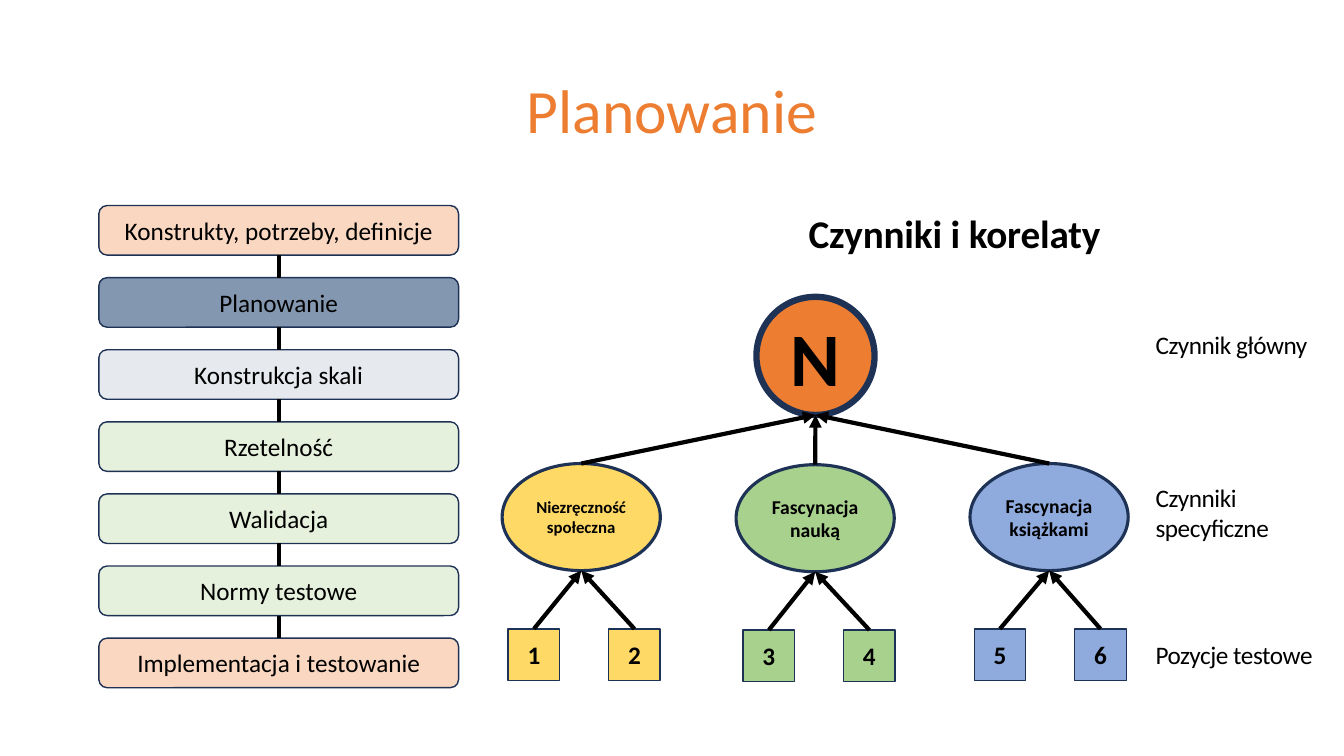
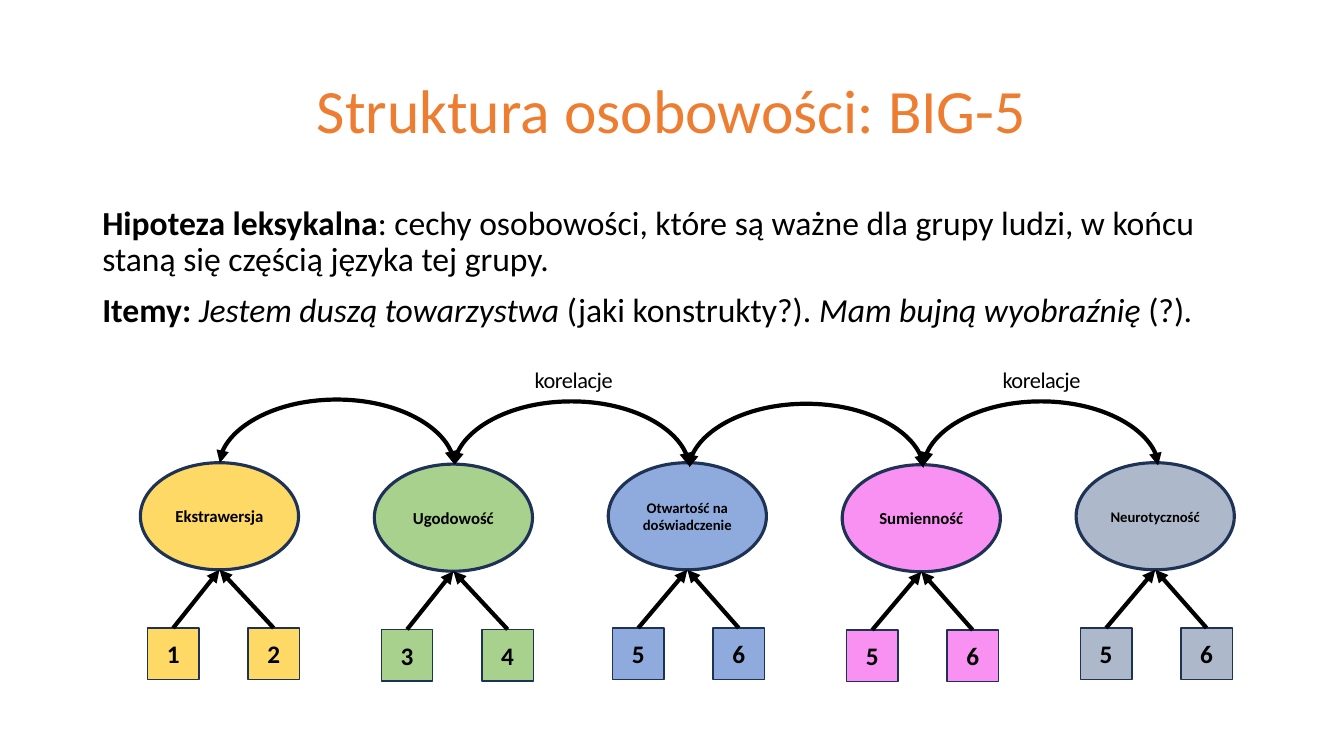
"""Build two slides on test planning and the structure of personality."""
from dataclasses import dataclass

from lxml.etree import SubElement
from pptx import Presentation
from pptx.dml.color import RGBColor as Rgb
from pptx.enum.shapes import MSO_CONNECTOR as Link, MSO_SHAPE as Form
from pptx.enum.text import MSO_ANCHOR as Anchor, MSO_AUTO_SIZE as Fit, PP_ALIGN as Align
from pptx.oxml.ns import qn
from pptx.util import Pt


@dataclass(frozen=True)
class Theme:
    """Colours and type sizes that the slides share."""
    font: str = "Calibri"
    ink: str = "000000"
    edge: str = "1E3256"
    orange: str = "ED7D31"
    steel: str = "8497B0"
    gray: str = "ADB9CA"
    green: str = "A9D18E"
    yellow: str = "FFD966"
    blue: str = "8FAADC"
    pink: str = "F991F2"
    title: float = 44
    head: float = 28
    body: float = 24
    label: float = 18
    note: float = 16
    main: float = 54
    large: float = 14
    mid: float = 12
    small: float = 10.5


T = Theme()
STEP = 167.1
OVAL_W, OVAL_H = 113, 76.5
BOX, BOX_GAP, BOX_DROP = 36.8, 71.8, 118.1


def style(par, size, color=T.ink, bold=None, align=None):
    """Set the font and alignment of a paragraph."""
    par.alignment = align
    font = par.font
    font.name, font.size, font.bold = T.font, Pt(size), bold
    font.color.rgb = Rgb.from_string(color)


def new_slide(prs, text):
    """Add a title-only slide with its title placed and styled."""
    slide = prs.slides.add_slide(prs.slide_layouts[5])
    title = slide.shapes.title
    title.left, title.top, title.width, title.height = Pt(66), Pt(28.8), Pt(828), Pt(104.4)
    frame = title.text_frame
    frame.text = text
    frame.auto_size, frame.vertical_anchor = Fit.NONE, Anchor.MIDDLE
    par = frame.paragraphs[0]
    par.line_spacing = 0.9
    style(par, T.title, T.orange, align=Align.CENTER)
    return slide


def node(slide, form, area, text, fill, size, bold=True, line=1, alpha=None):
    """Add a filled and outlined shape with a centred label."""
    shape = slide.shapes.add_shape(form, *map(Pt, area))
    shape.shadow.inherit = False
    shape.fill.solid()
    shape.fill.fore_color.rgb = Rgb.from_string(fill)
    if alpha:
        color = shape._element.spPr.find(".//" + qn("a:srgbClr"))
        SubElement(color, qn("a:alpha")).set("val", str(alpha * 1000))
    shape.line.color.rgb = Rgb.from_string(T.edge)
    shape.line.width = Pt(line)
    frame = shape.text_frame
    frame.text = text
    frame.word_wrap, frame.vertical_anchor = True, Anchor.MIDDLE
    style(frame.paragraphs[0], size, bold=bold, align=Align.CENTER)
    return shape


def wire(slide, ends, kind=Link.STRAIGHT, heads=()):
    """Add a black connector with optional arrowheads."""
    line = slide.shapes.add_connector(kind, *map(Pt, ends))
    line.line.color.rgb = Rgb.from_string(T.ink)
    line.line.width = Pt(3)
    for head in heads:
        SubElement(line.line._get_or_add_ln(), qn(f"a:{head}")).set("type", "triangle")
    SubElement(line._element.spPr, qn("a:effectLst"))
    return line


def arrow(slide, shape, x, y):
    """Join the top of a shape to a point with an arrow."""
    line = wire(slide, (0, 0, x, y), heads=["tailEnd"])
    line.begin_connect(shape, 0)


def arc(slide, x, y):
    """Add a two-headed arc that bulges up from one oval to the next."""
    thin, mid = 0.44, x + STEP / 2
    ends = (mid + thin / 2, y - STEP / 2, mid - thin / 2, y + STEP / 2)
    line = wire(slide, ends, Link.CURVE, ["headEnd", "tailEnd"])
    props = line._element.spPr
    props.find(qn("a:xfrm")).set("rot", "16200000")
    geom = props.find(qn("a:prstGeom"))
    guides = geom.find(qn("a:avLst"))
    if guides is None:
        guides = SubElement(geom, qn("a:avLst"))
    guide = SubElement(guides, qn("a:gd"))
    guide.set("name", "adj1")
    guide.set("fmla", "val -10000000")


def label(slide, area, text, size=T.label, bold=None, align=None, track=-30):
    """Add a text box with narrow insets and tight letters."""
    frame = slide.shapes.add_textbox(*map(Pt, area)).text_frame
    frame.word_wrap = True
    frame.margin_left, frame.margin_top = Pt(1), Pt(1)
    frame.margin_right = frame.margin_bottom = 0
    frame.text = text
    par = frame.paragraphs[0]
    style(par, size, bold=bold, align=align)
    par.font._rPr.set("spc", str(track))


def factor(slide, x, y, text, size, fill, items, inset):
    """Add an oval with its two test items and return the oval."""
    oval = node(slide, Form.OVAL, (x, y, OVAL_W, OVAL_H), text, fill, size, line=2.25)
    for i, item in enumerate(items):
        area = (x + inset + i * BOX_GAP, y + BOX_DROP, BOX, BOX)
        box = node(slide, Form.RECTANGLE, area, item, fill, T.label)
        arrow(slide, box, x + OVAL_W / 2, y + OVAL_H)
    return oval


def steps(slide, rows):
    """Add a column of rounded steps joined by lines."""
    last = None
    for i, (text, fill, alpha) in enumerate(rows):
        area = (70.6, 146.8 + i * 51.5, 257, 35.4)
        step = node(slide, Form.ROUNDED_RECTANGLE, area, text, fill, T.label, None, alpha=alpha)
        if last is not None:
            line = wire(slide, (0, 0, 0, 0))
            line.begin_connect(last, 2)
            line.end_connect(step, 0)
        last = step


def prose(slide, area, pars):
    """Add body text whose runs are plain, bold (b) or italic (i)."""
    frame = slide.shapes.add_textbox(*map(Pt, area)).text_frame
    frame.word_wrap = True
    for i, runs in enumerate(pars):
        par = frame.add_paragraph() if i else frame.paragraphs[0]
        par.line_spacing = 0.9
        if i:
            par.space_before = Pt(10)
        style(par, T.body)
        for text, face in runs:
            run = par.add_run()
            run.text = text
            if face:
                run.font.bold, run.font.italic = face == "b", face == "i"


def plan(prs):
    """Build the slide on planning."""
    slide = new_slide(prs, "Planowanie")
    steps(slide, [
        ("Konstrukty, potrzeby, definicje", T.orange, 30),
        ("Planowanie", T.steel, None),
        ("Konstrukcja skali", T.gray, 30),
        ("Rzetelność", T.green, 30),
        ("Walidacja", T.green, 30),
        ("Normy testowe", T.green, 30),
        ("Implementacja i testowanie", T.orange, 30),
    ])
    label(slide, (536.6, 148.8, 289.4, 34.6), "Czynniki i korelaty", T.head, True, Align.CENTER, -10)
    node(slide, Form.OVAL, (540.3, 212, 84.4, 84.4), "N", T.orange, T.main, line=4.5)
    for i, (text, size, fill, items, dip, inset) in enumerate([
        ("Niezręczność społeczna", T.mid, T.yellow, "12", 0, 4.3),
        ("Fascynacja nauką", T.large, T.green, "34", 0.8, 5),
        ("Fascynacja książkami", T.large, T.blue, "56", 0, 3),
    ]):
        oval = factor(slide, 358.7 + i * STEP, 331.1 + dip, text, size, fill, items, inset)
        arrow(slide, oval, 582.5, 296.4)
    for y, width, height, text in [
        (234, 150.5, 23, "Czynnik główny"),
        (343.5, 131, 44.6, "Czynniki specyficzne"),
        (455.8, 131, 23, "Pozycje testowe"),
    ]:
        label(slide, (824.4, y, width, height), text)


def traits(prs):
    """Build the slide on the five traits."""
    slide = new_slide(prs, "Struktura osobowości: BIG-5")
    prose(slide, (66, 144, 816, 100), [
        [("Hipoteza leksykalna", "b"),
         (": cechy osobowości, które są ważne dla grupy ludzi, "
          "w końcu staną się częścią języka tej grupy.", "")],
        [("Itemy: ", "b"), ("Jestem duszą towarzystwa ", "i"), ("(jaki konstrukty?). ", ""),
         ("Mam bujną wyobraźnię ", "i"), ("(?)", ""), (".", "i")],
    ])
    for i, (text, size, fill, items, dip, inset) in enumerate([
        ("Ekstrawersja", T.mid, T.yellow, "12", 0, 5),
        ("Ugodowość", T.mid, T.green, "34", 1, 5),
        ("Otwartość na doświadczenie", T.small, T.blue, "56", 0, 3),
        ("Sumienność", T.mid, T.pink, "56", 1.4, 3),
        ("Neurotyczność", T.small, T.gray, "56", 0, 3),
    ]):
        factor(slide, 100.3 + i * STEP, 330.5 + dip, text, size, fill, items, inset)
    for i, y in enumerate([331, 332.3, 334, 332.3]):
        arc(slide, 157 + i * 167.7, y)
    for x in (334, 668.2):
        label(slide, (x, 260.6, 150.5, 20.2), "korelacje", T.note, align=Align.CENTER)


def main():
    """Build and save the deck."""
    prs = Presentation()
    prs.slide_width, prs.slide_height = Pt(960), Pt(540)
    plan(prs)
    traits(prs)
    prs.save("out.pptx")


if __name__ == "__main__":
    main()
